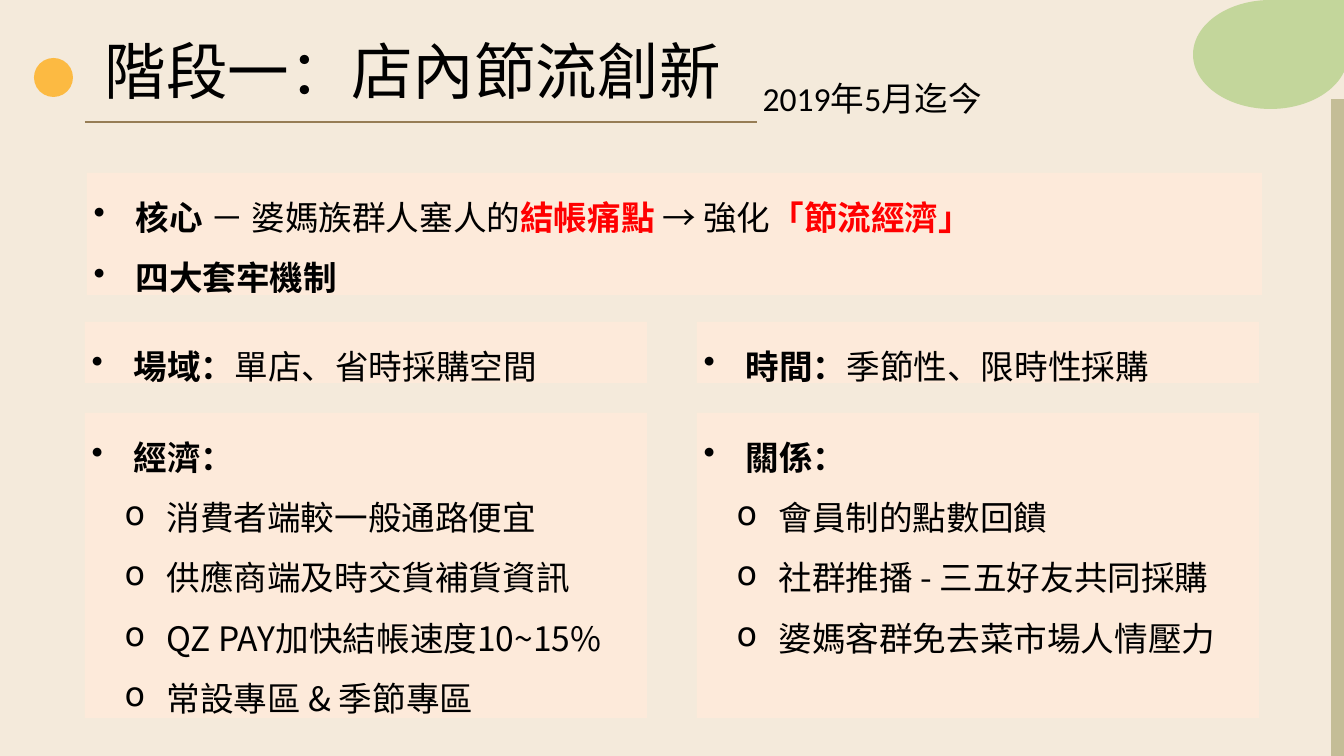
from dataclasses import dataclass

from lxml.etree import SubElement
from pptx import Presentation
from pptx.dml.color import RGBColor
from pptx.enum.shapes import MSO_CONNECTOR as Wire, MSO_SHAPE as Kind
from pptx.enum.text import MSO_ANCHOR as Anchor, PP_ALIGN as Align
from pptx.oxml.ns import qn
from pptx.util import Emu, Pt

SCALE = 914400 / 67.2  # EMU in one px


@dataclass(frozen=True)
class Theme:
    page: str = "F4EADB"
    panel: str = "FDEADA"
    leaf: str = "C3D69B"
    edge: str = "C4BD97"
    dot: str = "FCBA42"
    rule: str = "967D55"
    ink: str = "000000"
    alert: str = "FF0000"
    latin: str = "Calibri"
    cjk: str = "Noto Sans CJK TC"
    head: int = 66
    body: int = 36


@dataclass(frozen=True)
class Box:
    x: int
    y: int
    w: int
    h: int


@dataclass(frozen=True)
class Words:
    text: str
    bold: bool = False
    color: str = Theme.ink
    face: str = Theme.cjk


@dataclass(frozen=True)
class Item:
    words: tuple[Words, ...]
    level: int = 0


@dataclass(frozen=True)
class Panel:
    box: Box
    items: tuple[Item, ...]


T = Theme()


def px(n: float) -> Emu:
    return Emu(round(n * SCALE))


def rgb(code: str) -> RGBColor:
    return RGBColor.from_string(code)


def apply(target, values: dict) -> None:
    for name, value in values.items():
        setattr(target, name, value)


def place(shape, box: Box) -> None:
    apply(shape, {"left": px(box.x), "top": px(box.y),
                  "width": px(box.w), "height": px(box.h)})


def draw_shape(slide, kind: Kind, box: Box, fill: str):
    shape = slide.shapes.add_shape(kind, 0, 0, 0, 0)
    place(shape, box)
    shape.shadow.inherit = False
    shape.fill.solid()
    shape.fill.fore_color.rgb = rgb(fill)
    shape.line.fill.background()
    return shape


def write(para, words: Words, size: int) -> None:
    run = para.add_run()
    run.text = words.text
    apply(run.font, {"name": words.face, "size": Pt(size), "bold": words.bold})
    run.font.color.rgb = rgb(words.color)
    SubElement(run._r.get_or_add_rPr(), qn("a:ea")).set("typeface", T.cjk)


def write_line(shape, box: Box, text: str, size: int) -> None:
    place(shape, box)
    frame = shape.text_frame
    apply(frame, {"word_wrap": True, "vertical_anchor": Anchor.TOP})
    para = frame.paragraphs[0]
    para.alignment = Align.LEFT
    write(para, Words(text, face=T.latin), size)


def draw_panel(slide, panel: Panel) -> None:
    frame = draw_shape(slide, Kind.RECTANGLE, panel.box, T.panel).text_frame
    apply(frame, {"word_wrap": True, "vertical_anchor": Anchor.TOP})
    for i, item in enumerate(panel.items):
        para = frame.add_paragraph() if i else frame.paragraphs[0]
        props = para._p.get_or_add_pPr()
        props.set("marL", str(px(42 + 33 * item.level)))
        props.set("indent", str(px(-42)))
        SubElement(props, qn("a:buChar")).set("char", "•o"[item.level])
        apply(para, {"level": item.level, "alignment": Align.JUSTIFY,
                     "line_spacing": 1.5})
        for words in item.words:
            write(para, words, T.body)


def topic(label: str, rest: str = "", subs: tuple[str, ...] = ()) -> tuple[Item, ...]:
    words = (Words(label, True),) + ((Words(rest),) if rest else ())
    return (Item(words), *(Item((Words(sub),), 1) for sub in subs))


# Panel content on a two-column grid
LEFT, RIGHT, WIDE = 85, 697, 562
CORE = (
    Item((
        Words("核心", True),
        Words(" － "),
        Words("婆媽族群人塞人的", face=T.latin),
        Words("結帳痛點 ", True, T.alert, T.latin),
        Words("→ 強化"),
        Words("「節流經濟」", True, T.alert),
    )),
    Item((Words("四大套牢機制", True, face=T.latin),)),
)
PANELS = (
    Panel(Box(87, 173, 1175, 122), CORE),
    Panel(Box(LEFT, 322, WIDE, 61), topic("場域：", "單店、省時採購空間")),
    Panel(Box(RIGHT, 322, WIDE, 61), topic("時間：", "季節性、限時性採購")),
    Panel(Box(RIGHT, 413, WIDE, 305), topic("關係：", subs=(
        "會員制的點數回饋",
        "社群推播 - 三五好友共同採購",
        "婆媽客群免去菜市場人情壓力",
    ))),
    Panel(Box(LEFT, 413, WIDE, 305), topic("經濟：", subs=(
        "消費者端較一般通路便宜",
        "供應商端及時交貨補貨資訊",
        "QZ PAY加快結帳速度10~15%",
        "常設專區 & 季節專區",
    ))),
)


def main() -> None:
    deck = Presentation()
    apply(deck, {"slide_width": px(1344), "slide_height": px(756)})
    slide = deck.slides.add_slide(deck.slide_layouts[5])
    slide.background.fill.solid()
    slide.background.fill.fore_color.rgb = rgb(T.page)

    # Decoration
    draw_shape(slide, Kind.TEAR, Box(1193, 0, 155, 109), T.leaf)
    draw_shape(slide, Kind.RECTANGLE, Box(1331, 99, 13, 657), T.edge)
    draw_shape(slide, Kind.OVAL, Box(34, 58, 39, 39), T.dot)

    # Title, its rule and the date
    write_line(slide.shapes.title, Box(98, 30, 1163, 81),
               "階段一：店內節流創新", T.head)
    rule = slide.shapes.add_connector(
        Wire.STRAIGHT, px(85), px(122), px(757), px(122))
    rule.line.color.rgb = rgb(T.rule)
    rule.line.width = Pt(3)
    SubElement(rule._element.spPr, qn("a:effectLst"))
    write_line(slide.shapes.add_textbox(0, 0, 0, 0), Box(756, 75, 546, 48),
               "2019年5月迄今", T.body)

    # Panels
    for panel in PANELS:
        draw_panel(slide, panel)

    deck.save("out.pptx")


if __name__ == "__main__":
    main()
